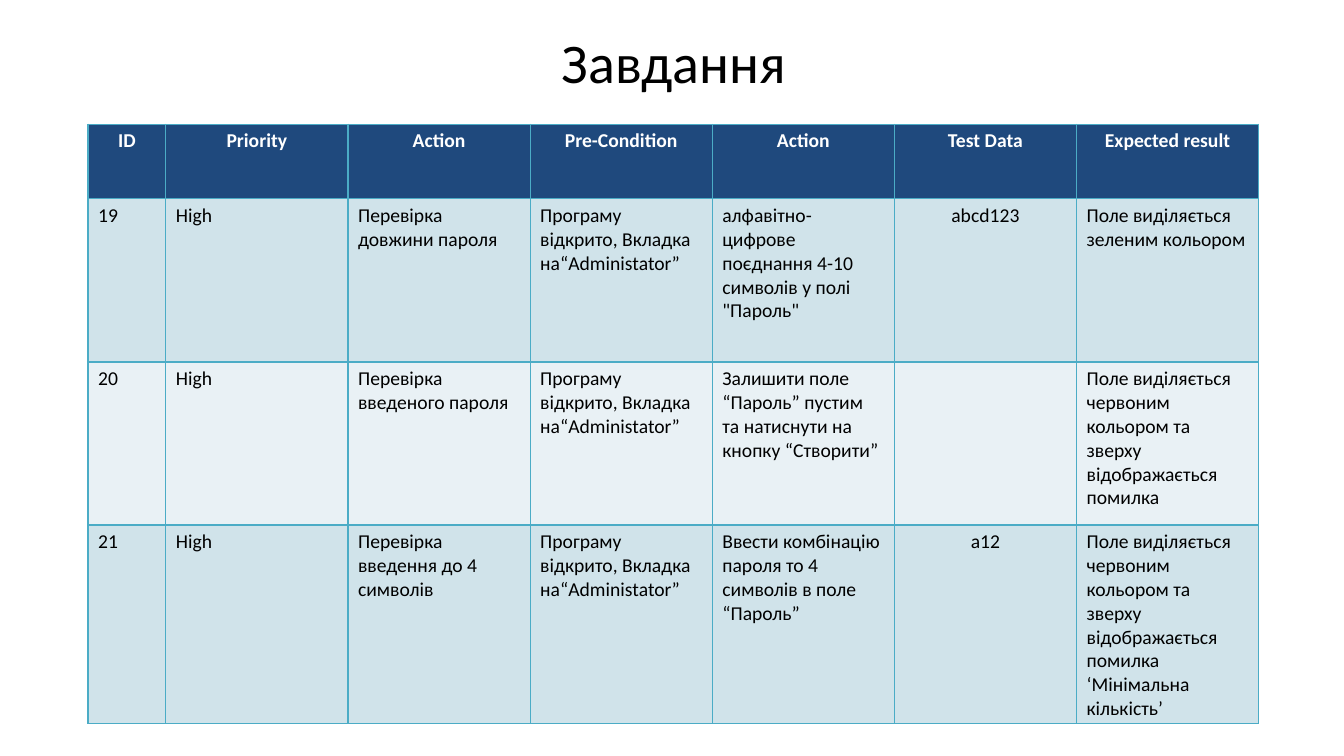
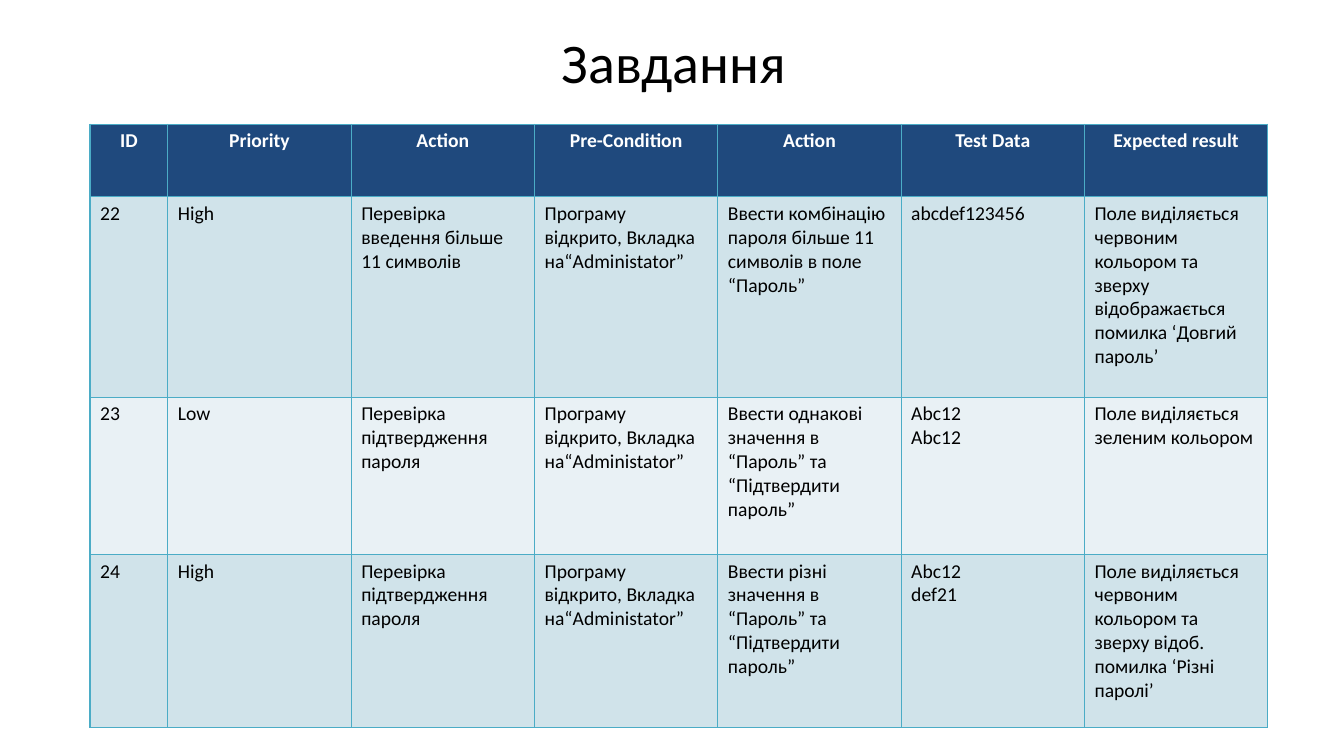
from lxml.etree import SubElement
from pptx import Presentation
from pptx.dml.color import RGBColor
from pptx.enum.text import MSO_ANCHOR, PP_ALIGN
from pptx.oxml.ns import qn
from pptx.util import Cm, Pt

# Shared style
NAVY = RGBColor(0x1F, 0x49, 0x7D)
TEAL = RGBColor(0x4B, 0xAC, 0xC6)
BAND = RGBColor(0xD0, 0xE3, 0xEA)
PALE = RGBColor(0xE9, 0xF1, 0xF5)
BLACK = RGBColor(0, 0, 0)
WHITE = RGBColor(0xFF, 0xFF, 0xFF)
FONT = "Calibri"
TITLE = "Завдання"
HEADS = ["ID", "Priority", "Action", "Pre-Condition", "Action",
         "Test Data", "Expected result"]
DATA = HEADS.index("Test Data")

# Wording that several cases share
OPEN = "Програму відкрито, Вкладка на“Administator”"
GREEN = "Поле виділяється зеленим кольором"
RED = "Поле виділяється червоним кольором та зверху "
ERROR = RED + "відображається помилка"
CONFIRM = "Перевірка підтвердження пароля"
BOTH = "значення в “Пароль” та “Підтвердити пароль”"


class Deck:
    def __init__(self):
        self.prs = Presentation()
        self.prs.slide_width = Cm(33.87)
        self.prs.slide_height = Cm(19.05)
        self.slide = None

    def start(self):
        self.slide = self.prs.slides.add_slide(self.prs.slide_layouts[6])

    def style(self, frame, size, color, bold=False, align=PP_ALIGN.LEFT):
        for para in frame.paragraphs:
            para.alignment = align
            for run in para.runs:
                run.font.name = FONT
                run.font.size = Pt(size)
                run.font.bold = bold
                run.font.color.rgb = color

    def title(self, text):
        box = self.slide.shapes.add_textbox(Cm(3.23), 0, Cm(27.51), Cm(3.1))
        frame = box.text_frame
        frame.word_wrap = True
        frame.vertical_anchor = MSO_ANCHOR.MIDDLE
        frame.text = text
        self.style(frame, 40, BLACK, align=PP_ALIGN.CENTER)

    def border(self, cell):
        props = cell._tc.get_or_add_tcPr()
        for side in ("a:lnL", "a:lnR", "a:lnT", "a:lnB"):
            line = SubElement(props, qn(side), w=str(Pt(1)))
            fill = SubElement(line, qn("a:solidFill"))
            SubElement(fill, qn("a:srgbClr"), val=str(TEAL))

    def cell(self, cell, text, fill, color, bold, align):
        self.border(cell)
        cell.fill.solid()
        cell.fill.fore_color.rgb = fill
        cell.text_frame.text = text
        self.style(cell.text_frame, 14, color, bold, align)

    def table(self, left, width, heights, cases, middle):
        widths = [1.96] + [width] * (len(HEADS) - 1)
        rows = [HEADS] + cases
        grid = self.slide.shapes.add_table(
            len(rows), len(HEADS), Cm(left), Cm(3.13),
            Cm(sum(widths)), Cm(sum(heights))).table
        grid.horz_banding = False
        for col, size in zip(grid.columns, widths):
            col.width = Cm(size)
        for i, (row, size) in enumerate(zip(grid.rows, heights)):
            row.height = Cm(size)
            head = i == 0
            fill = NAVY if head else BAND if i % 2 else PALE
            for j, text in enumerate(rows[i]):
                mid = head or (middle and j == DATA)
                self.cell(row.cells[j], text, fill,
                          WHITE if head else BLACK, head,
                          PP_ALIGN.CENTER if mid else PP_ALIGN.LEFT)


# Test cases for each slide
LENGTH = [
    ["19", "High", "Перевірка довжини пароля", OPEN,
     'алфавітно-цифрове поєднання 4-10 символів у полі "Пароль"',
     "abcd123", GREEN],
    ["20", "High", "Перевірка введеного пароля", OPEN,
     "Залишити поле “Пароль” пустим та натиснути на кнопку “Створити”",
     "", ERROR],
    ["21", "High", "Перевірка введення до 4 символів", OPEN,
     "Ввести комбінацію пароля то 4 символів в поле “Пароль”",
     "a12", ERROR + " ‘Мінімальна кількість’"],
]
MATCH = [
    ["22", "High", "Перевірка введення більше 11 символів", OPEN,
     "Ввести комбінацію пароля більше 11 символів в поле “Пароль”",
     "abcdef123456", ERROR + " ‘Довгий пароль’"],
    ["23", "Low", CONFIRM, OPEN, "Ввести однакові " + BOTH,
     "Abc12\nAbc12", GREEN],
    ["24", "High", CONFIRM, OPEN, "Ввести різні " + BOTH,
     "Abc12\ndef21", RED + "відоб. помилка ‘Різні паролі’"],
]

# Left edge, column width, row heights, cases, centred test data
PAGES = [
    (2.22, 4.59, [1.88, 4.11, 4.11, 4.57], LENGTH, True),
    (2.27, 4.62, [1.83, 5.05, 3.96, 4.37], MATCH, False),
]

# Build the slides
deck = Deck()
for page in PAGES:
    deck.start()
    deck.title(TITLE)
    deck.table(*page)
deck.prs.save("out.pptx")
